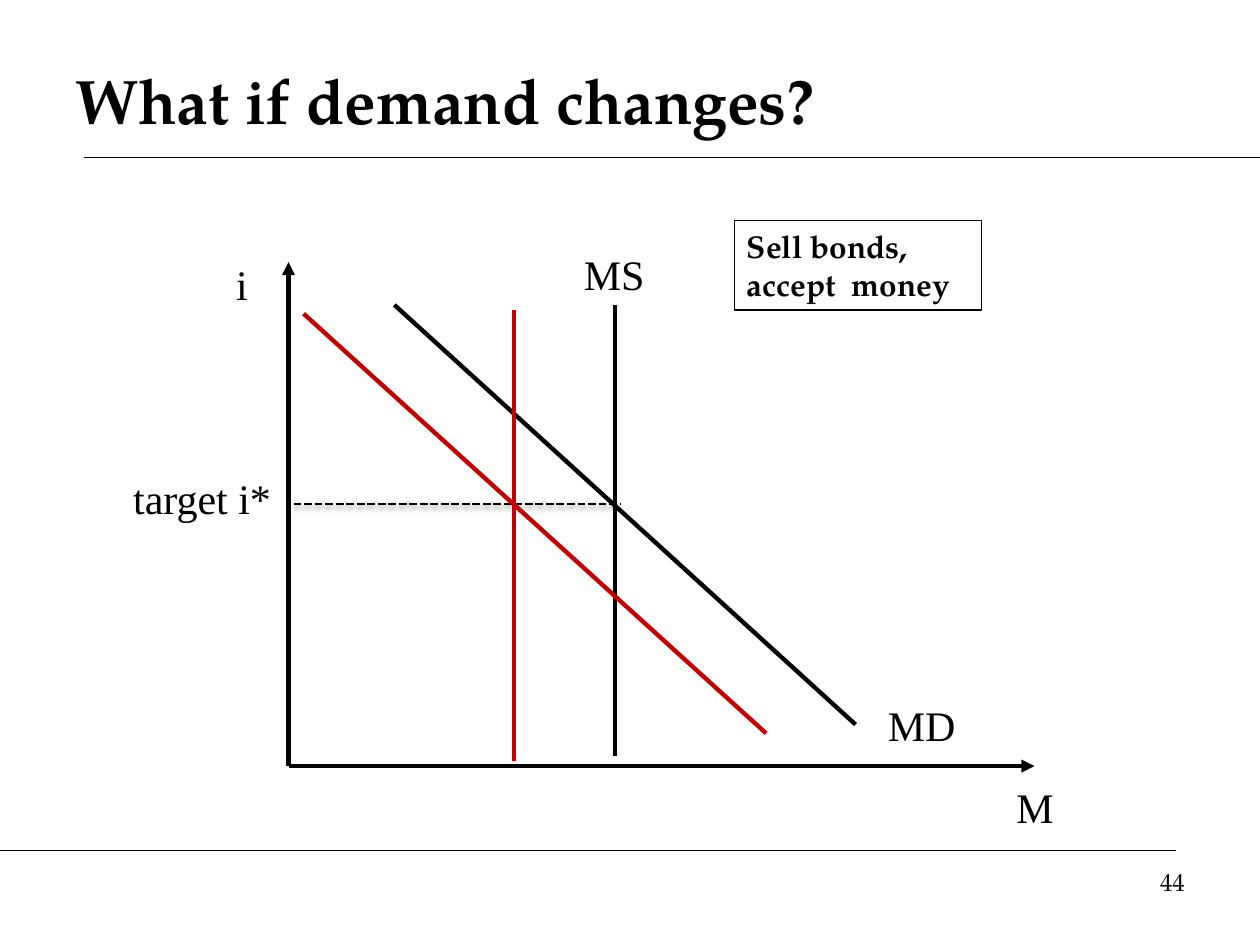
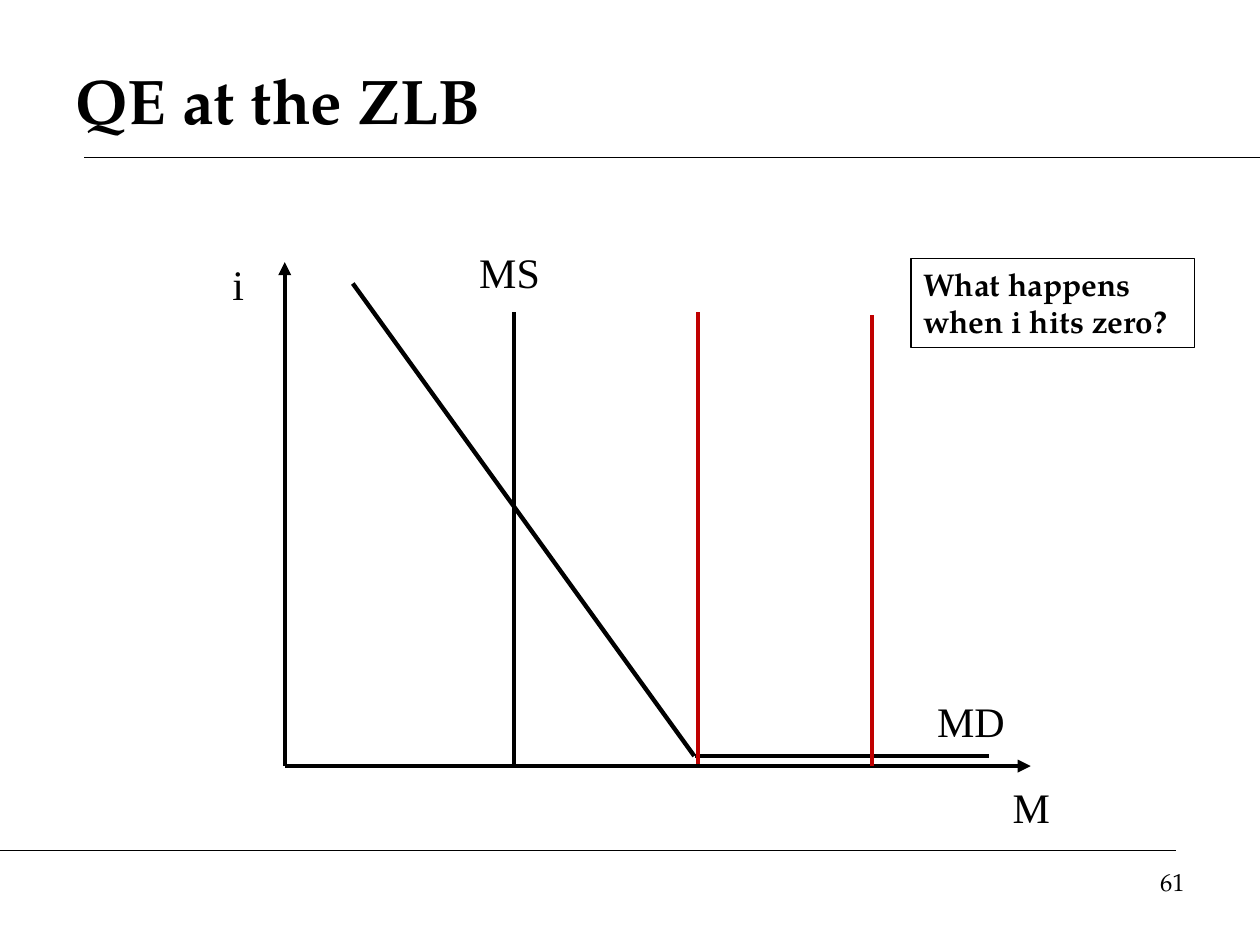
from typing import NamedTuple

from lxml import etree
from pptx import Presentation
from pptx.dml.color import RGBColor
from pptx.enum.dml import MSO_LINE
from pptx.enum.shapes import MSO_CONNECTOR, MSO_SHAPE
from pptx.enum.text import MSO_ANCHOR, PP_ALIGN
from pptx.oxml.ns import qn
from pptx.util import Inches, Pt

BLACK = RGBColor(0x00, 0x00, 0x00)
RED = RGBColor(0xC0, 0x00, 0x00)
SERIF = "TeX Gyre Pagella"
GRAPH_FONT = "Times New Roman"
LEFT, CENTER, RIGHT = PP_ALIGN.LEFT, PP_ALIGN.CENTER, PP_ALIGN.RIGHT
TOP, MIDDLE = MSO_ANCHOR.TOP, MSO_ANCHOR.MIDDLE
DASH = MSO_LINE.SQUARE_DOT
STRAIGHT, RECTANGLE = MSO_CONNECTOR.STRAIGHT, MSO_SHAPE.RECTANGLE

BLANK_LAYOUT = 6
THIN, THICK = 0.75, 2.5
AXIS_BOTTOM, AXIS_TOP, AXIS_LENGTH = 6.08, 2.08, 5.92
SUPPLY_HEIGHT = 3.58  # every money supply line has the same length


class Box(NamedTuple):
    left: float
    top: float
    width: float
    height: float


class Segment(NamedTuple):
    x1: float
    y1: float
    x2: float
    y2: float
    color: RGBColor = BLACK


class Label(NamedTuple):
    text: str
    box: Box
    align: PP_ALIGN = CENTER


class Graph(NamedTuple):
    title: str
    number: int
    origin: float
    segments: list[Segment]
    labels: list[Label]
    callout: str
    callout_box: Box
    target: Segment | None = None


def supply(x: float, bottom: float, color: RGBColor = BLACK) -> Segment:
    """Vertical money supply line."""
    return Segment(x, bottom, x, bottom - SUPPLY_HEIGHT, color)


def write(shape, text: str, *, size: float, font: str = SERIF, bold: bool = False,
          align: PP_ALIGN = LEFT, anchor: MSO_ANCHOR = TOP) -> None:
    frame = shape.text_frame
    frame.word_wrap = True
    frame.vertical_anchor = anchor
    paragraph = frame.paragraphs[0]
    paragraph.alignment = align
    run = paragraph.add_run()
    run.text = text
    run.font.name = font
    run.font.size = Pt(size)
    run.font.bold = bold
    run.font.color.rgb = BLACK


def add_text(slide, text: str, box: Box, **text_format) -> None:
    write(slide.shapes.add_textbox(*map(Inches, box)), text, **text_format)


def add_line(slide, segment: Segment, width: float = THICK, *,
             arrow: bool = False, dashed: bool = False, shadow: bool = False) -> None:
    ends = map(Inches, segment[:4])
    connector = slide.shapes.add_connector(STRAIGHT, *ends)
    connector.line.color.rgb = segment.color
    connector.line.width = Pt(width)
    if dashed:
        connector.line.dash_style = DASH
    properties = connector._element.spPr
    if arrow:
        etree.SubElement(properties.find(qn("a:ln")), qn("a:tailEnd"), type="triangle")
    effects = etree.SubElement(properties, qn("a:effectLst"))
    if shadow:
        outer = etree.SubElement(effects, qn("a:outerShdw"), blurRad="40000",
                                 dist="20000", dir="5400000", rotWithShape="0")
        color = etree.SubElement(outer, qn("a:srgbClr"), val=str(BLACK))
        etree.SubElement(color, qn("a:alpha"), val="38000")


def add_callout(slide, text: str, box: Box) -> None:
    shape = slide.shapes.add_shape(RECTANGLE, *map(Inches, box))
    shape.shadow.inherit = False
    shape.fill.background()
    shape.line.color.rgb = BLACK
    shape.line.width = Pt(THIN)
    write(shape, text, size=18, bold=True)


def add_frame(slide, title: str, number: int) -> None:
    """Title, rules and slide number shared by all slides."""
    add_line(slide, Segment(0.67, 1.25, 10, 1.25), THIN)
    add_line(slide, Segment(0, 6.75, 9.33, 6.75), THIN)
    add_text(slide, title, Box(0.5, 0.33, 9, 0.92), size=36, bold=True, anchor=MIDDLE)
    add_text(slide, str(number), Box(7.17, 6.83, 2.33, 0.52), size=14, align=RIGHT)


def add_graph(slide, graph: Graph) -> None:
    add_frame(slide, graph.title, graph.number)

    # Axes and their names
    origin = graph.origin
    add_line(slide, Segment(origin, AXIS_BOTTOM, origin + AXIS_LENGTH, AXIS_BOTTOM), arrow=True)
    add_line(slide, Segment(origin, AXIS_BOTTOM, origin, AXIS_TOP), arrow=True)
    axis_names = [Label("M", Box(origin + 5.59, 6.15, 0.67, 0.5)),
                  Label("i", Box(origin - 0.66, 2, 0.58, 0.51))]
    for label in axis_names + graph.labels:
        add_text(slide, label.text, label.box, size=24, font=GRAPH_FONT, align=label.align)

    # Curves, target rate and callout
    if graph.target:
        add_line(slide, graph.target, 1.5, dashed=True, shadow=True)
    for segment in graph.segments:
        add_line(slide, segment)
    add_callout(slide, graph.callout, graph.callout_box)


GRAPHS = [
    Graph(
        title="What if demand changes?", number=44, origin=2.29,
        segments=[supply(4.88, 6), Segment(3.13, 2.42, 6.79, 5.75),
                  Segment(2.41, 2.49, 6.08, 5.82, RED), supply(4.08, 6.04, RED)],
        labels=[Label("MS", Box(4.21, 1.92, 1.33, 0.51)),
                Label("MD", Box(6.84, 5.5, 0.95, 0.51)),
                Label("target i*", Box(0.67, 3.7, 1.58, 0.51), RIGHT)],
        callout="Sell bonds, accept  money", callout_box=Box(5.83, 1.75, 1.96, 0.71),
        target=Segment(2.33, 4, 4.92, 4),
    ),
    Graph(
        title="QE at the ZLB", number=61, origin=2.26,
        segments=[supply(4.08, 6.06), Segment(2.8, 2.25, 5.51, 6),
                  Segment(5.52, 6, 7.85, 6),
                  supply(5.54, 6.06, RED), supply(6.92, 6.08, RED)],
        labels=[Label("MS", Box(3.38, 1.91, 1.33, 0.51)),
                Label("MD", Box(7.23, 5.47, 0.95, 0.51))],
        callout="What happens when i hits zero?", callout_box=Box(7.23, 2.05, 2.25, 0.71),
    ),
]

presentation = Presentation()
presentation.slide_width = Inches(10)
presentation.slide_height = Inches(7.5)
for graph in GRAPHS:
    add_graph(presentation.slides.add_slide(presentation.slide_layouts[BLANK_LAYOUT]), graph)
presentation.save("out.pptx")
